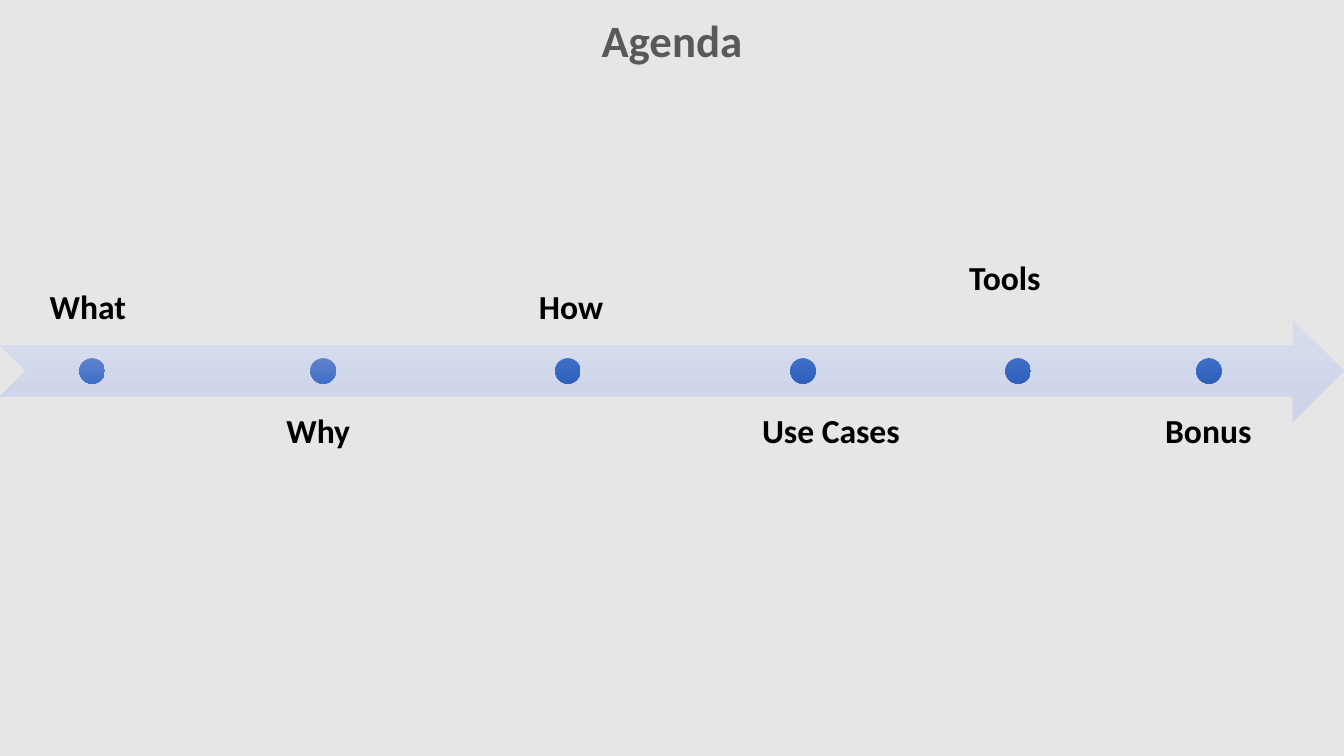
from pptx import Presentation
from pptx.dml.color import RGBColor
from pptx.enum.shapes import MSO_SHAPE
from pptx.enum.text import MSO_ANCHOR, PP_ALIGN
from pptx.util import Inches, Pt

ARROW = MSO_SHAPE.NOTCHED_RIGHT_ARROW
DOT = MSO_SHAPE.OVAL
TOP, MIDDLE, BOTTOM = MSO_ANCHOR.TOP, MSO_ANCHOR.MIDDLE, MSO_ANCHOR.BOTTOM
LEFT, CENTER = PP_ALIGN.LEFT, PP_ALIGN.CENTER

BACKGROUND = RGBColor(0xE7, 0xE6, 0xE6)
GRAY = RGBColor(0x59, 0x59, 0x59)
BLACK = RGBColor(0x00, 0x00, 0x00)
BAND = (RGBColor(0xD7, 0xDC, 0xED), RGBColor(0xCD, 0xD3, 0xE9))
LIGHT_BLUE = (RGBColor(0x60, 0x82, 0xCA), RGBColor(0x3D, 0x6F, 0xC9))
DARK_BLUE = (RGBColor(0x3D, 0x6F, 0xC9), RGBColor(0x2F, 0x61, 0xBA))

PAGE_WIDTH = 10
PAGE_HEIGHT = PAGE_WIDTH * 9 / 16
BAND_HEIGHT = 0.76
DOT_SIZE = 0.19
INSET = 0.14
ABOVE, BELOW = -0.57, 0.57

MILESTONES = [
    ("What", 0, 1.93, 0.37, ABOVE, BOTTOM, 0.59, LIGHT_BLUE),
    ("Why", 1.99, 2.28, INSET, BELOW, TOP, 2.31, LIGHT_BLUE),
    ("How", 3.87, 1.98, INSET, ABOVE, BOTTOM, 4.13, DARK_BLUE),
    ("Use Cases", 5.53, 1.6, INSET, BELOW, TOP, 5.88, DARK_BLUE),
    ("Tools", 7.07, 1.75, INSET, ABOVE, TOP, 7.48, DARK_BLUE),
    ("Bonus", 7.97, 1.64, 0.7, BELOW, TOP, 8.9, DARK_BLUE),
]


def apply_format(target, values):
    for name, value in values.items():
        setattr(target, name, value)


def add_text(page, box, text, margins, anchor, align, size, color):
    frame = page.shapes.add_textbox(*map(Inches, box)).text_frame
    left, top, right, bottom = map(Inches, margins)
    apply_format(frame, {
        "word_wrap": True, "vertical_anchor": anchor,
        "margin_left": left, "margin_top": top,
        "margin_right": right, "margin_bottom": bottom,
    })
    para = frame.paragraphs[0]
    apply_format(para, {"alignment": align, "line_spacing": 0.9})
    span = para.add_run()
    span.text = text
    apply_format(span.font, {"name": "Calibri", "size": Pt(size), "bold": True})
    span.font.color.rgb = color


def add_gradient_shape(page, kind, box, colors):
    shape = page.shapes.add_shape(kind, *map(Inches, box))
    shape.shadow.inherit = False
    shape.line.fill.background()
    shape.fill.gradient()
    shape.fill.gradient_angle = 270
    for stop, color in zip(shape.fill.gradient_stops, colors):
        stop.color.rgb = color
    return shape


def add_title(page, box, text):
    add_text(page, box, text, (0.07, 0.04, 0.07, 0.04), MIDDLE, CENTER, 24, GRAY)


def add_timeline(page, box, milestones):
    left, top, width, height = box
    arrow = add_gradient_shape(page, ARROW, box, BAND)
    arrow.adjustments[0] = 0.5
    arrow.adjustments[1] = 0.5
    dot_top = top + (height - DOT_SIZE) / 2
    for text, label_x, label_width, indent, offset, anchor, dot_x, colors in milestones:
        label_box = (left + label_x, top + offset, label_width, height)
        add_text(page, label_box, text, (indent, INSET, INSET, INSET),
                 anchor, LEFT, 18, BLACK)
        add_gradient_shape(page, DOT, (left + dot_x, dot_top, DOT_SIZE, DOT_SIZE), colors)


def main():
    deck = Presentation()
    deck.slide_width = Inches(PAGE_WIDTH)
    deck.slide_height = Inches(PAGE_HEIGHT)
    page = deck.slides.add_slide(deck.slide_layouts[6])
    page.background.fill.solid()
    page.background.fill.fore_color.rgb = BACKGROUND
    add_title(page, (0, 0, PAGE_WIDTH, 0.64), "Agenda")
    add_timeline(page, (0, 2.38, PAGE_WIDTH, BAND_HEIGHT), MILESTONES)
    deck.save("out.pptx")


if __name__ == "__main__":
    main()
